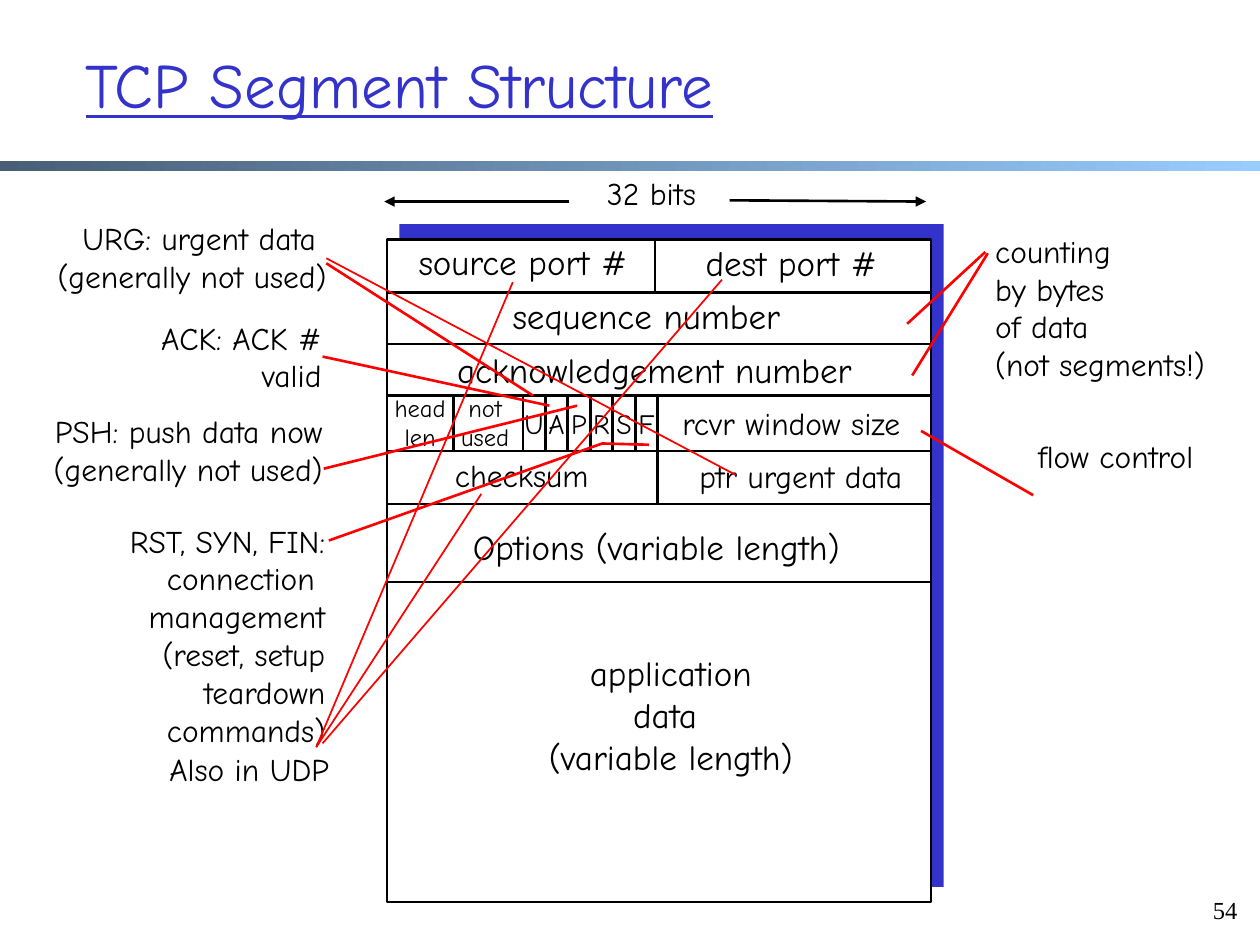
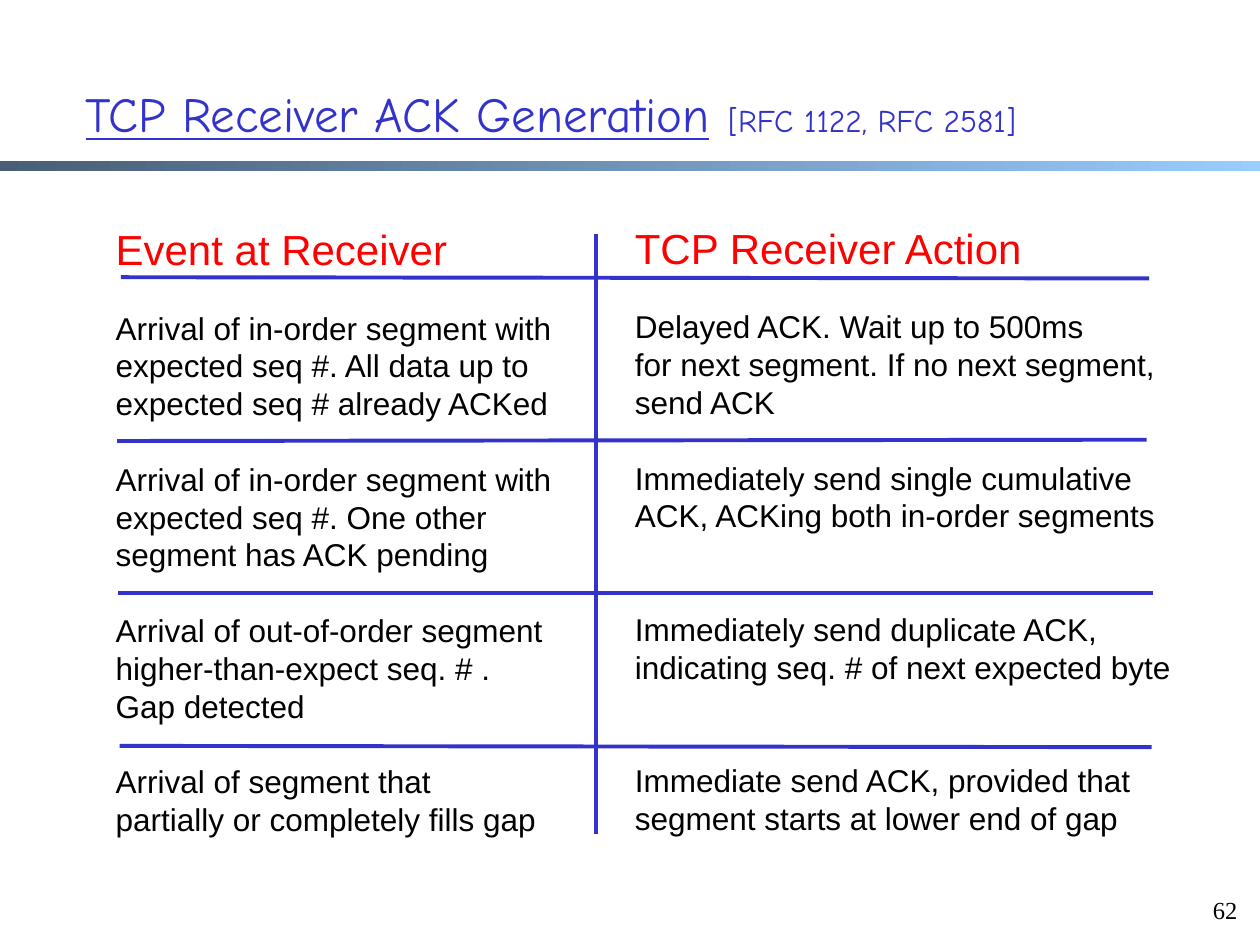
from collections import namedtuple

from lxml import etree
from pptx import Presentation
from pptx.dml.color import RGBColor
from pptx.enum.shapes import MSO_CONNECTOR, MSO_SHAPE
from pptx.enum.text import MSO_ANCHOR, MSO_AUTO_SIZE, PP_ALIGN
from pptx.oxml.ns import qn
from pptx.util import Inches, Pt

LEFT, CENTER, RIGHT = PP_ALIGN.LEFT, PP_ALIGN.CENTER, PP_ALIGN.RIGHT
RECTANGLE = MSO_SHAPE.RECTANGLE
STRAIGHT = MSO_CONNECTOR.STRAIGHT
MIDDLE = MSO_ANCHOR.MIDDLE
NO_AUTOFIT = MSO_AUTO_SIZE.NONE

BLACK = RGBColor(0x00, 0x00, 0x00)
WHITE = RGBColor(0xFF, 0xFF, 0xFF)
RED = RGBColor(0xFF, 0x00, 0x00)
BLUE = RGBColor(0x33, 0x33, 0xCC)
BAND_DARK = RGBColor(0x47, 0x5E, 0x76)
BAND_LIGHT = RGBColor(0x99, 0xCC, 0xFF)

HAND_FONT = "Comic Neue"
COLUMN_FONT = "Arial"
NUMBER_FONT = "Times New Roman"
TITLE_ONLY_LAYOUT = 5

Box = namedtuple("Box", "left top width height")

FIELD_LABELS = [
    (Box(1.58, -0.57, 1.04, 0.4), 18, ["32 bits"]),
    (Box(0.07, -0.04, 2.02, 0.43), 20, ["source port #"]),
    (Box(2.34, -0.03, 1.74, 0.43), 20, ["dest port #"]),
    (Box(0.7, 0.39, 2.72, 0.43), 20, ["sequence number"]),
    (Box(0.26, 0.82, 3.73, 0.43), 20, ["acknowledgement number"]),
    (Box(-0.05, 1.17, 0.63, 0.57), 14, ["head", "len"]),
    (Box(0.47, 1.17, 0.62, 0.57), 14, ["not", "used"]),
    (Box(2.15, 1.26, 2.12, 0.4), 18, ["rcvr window size"]),
    (Box(0.41, 1.67, 1.32, 0.4), 18, ["checksum"]),
    (Box(2.28, 1.68, 2.01, 0.4), 18, ["ptr urgent data"]),
    (Box(0.43, 2.22, 3.42, 0.43), 20, ["Options (variable length)"]),
    (Box(1.09, 3.22, 2.33, 1.1), 20,
     ["application", "data ", "(variable length)"]),
]
ROW_DIVIDERS = [0.42, 0.83, 1.24, 1.68, 2.1, 2.72]
FLAGS = "UAPRSF"
FLAGS_LEFT, FLAGS_RIGHT = 1.08, 2.15

NOTES = [
    (Box(0.6, 2.69, 2.08, 1.9), RIGHT,
     ["RST, SYN, FIN:", "connection ", "management", "(reset, setup",
      "teardown", "commands)"]),
    (Box(8.14, 2.02, 1.62, 0.4), LEFT, ["flow control"]),
    (Box(1.04, 1.08, 1.61, 0.7), RIGHT, ["ACK: ACK #", "valid"]),
    (Box(7.8, 0.39, 1.99, 1.3), LEFT,
     ["counting", "by bytes", "of data", "(not segments!)"]),
    (Box(1.16, 4.5, 1.55, 0.4), RIGHT, ["Also in UDP"]),
    (Box(0.19, 0.29, 2.5, 0.7), RIGHT,
     ["URG: urgent data ", "(generally not used)"]),
    (Box(0.16, 1.82, 2.5, 0.7), RIGHT,
     ["PSH: push data now", "(generally not used)"]),
]
NOTE_POINTERS = [
    ((8.2, 2.53), (7.31, 2.02), 1.5),
    ((2.56, 1.43), (4.36, 1.82), 1.5),
    ((7.84, 0.61), (7.24, 1.58), 1.5),
    ((7.82, 0.6), (7.2, 1.17), 1.5),
    ((2.51, 4.53), (3.82, 2.52), 1),
    ((2.51, 4.53), (4.07, 0.84), 1),
    ((2.56, 4.5), (5.73, 0.82), 1),
    ((2.59, 0.69), (4.23, 1.74), 1.5),
    ((2.57, 2.32), (4.58, 1.82), 1.5),
    ((2.59, 0.65), (5.84, 2.37), 1),
]
CONNECTION_POINTER = [(2.61, 2.89), (4.78, 2.12), (5.15, 2.13)]

EVENTS = [
    ["Arrival of in-order segment with", "expected seq #. All data up to",
     "expected seq # already ACKed"],
    ["Arrival of in-order segment with", "expected seq #. One other",
     "segment has ACK pending"],
    ["Arrival of out-of-order segment", "higher-than-expect seq. # .",
     "Gap detected"],
    ["Arrival of segment that", "partially or completely fills gap"],
]
ACTIONS = [
    ["Delayed ACK. Wait up to 500ms", "for next segment. If no next segment,",
     "send ACK"],
    ["Immediately send single cumulative",
     "ACK, ACKing both in-order segments"],
    ["Immediately send duplicate ACK,",
     "indicating seq. # of next expected byte"],
    ["Immediate send ACK, provided that",
     "segment starts at lower end of gap"],
]
LINE_PITCH = 21.6
HEADING_PITCH = 30.8
HEADING_GAP = 19.6
LINES_PER_ENTRY = 4
RULES = [
    ((0.14, 0.51), (8.3, 0.52)),
    ((0.11, 1.81), (8.28, 1.8)),
    ((0.12, 3.02), (8.33, 3.02)),
    ((0.13, 4.23), (8.32, 4.24)),
    ((3.91, 0.17), (3.91, 4.93)),
]


def inches(box):
    """Return the four lengths of a box."""
    return [Inches(value) for value in box]


def shifted(box, origin):
    """Move a box by the corner of the region that holds it."""
    return box._replace(left=box.left + origin.left, top=box.top + origin.top)


def add_run(paragraph, text, size, color, font=HAND_FONT, underline=False):
    """Add one formatted run."""
    run = paragraph.add_run()
    run.text = text
    run.font.size = Pt(size)
    run.font.name = font
    run.font.color.rgb = color
    run.font.underline = underline


def add_text_frame(slide, box):
    """Add a text box that does not wrap and return its frame."""
    frame = slide.shapes.add_textbox(*inches(box)).text_frame
    frame.word_wrap = False
    return frame


def add_label(slide, box, lines, size, alignment=CENTER, font=HAND_FONT):
    """Add black text with one paragraph for each line."""
    frame = add_text_frame(slide, box)
    for index, line in enumerate(lines):
        paragraph = frame.add_paragraph() if index else frame.paragraphs[0]
        paragraph.alignment = alignment
        add_run(paragraph, line, size, BLACK, font)


def add_block(slide, box, fill):
    """Add a plain filled rectangle."""
    shape = slide.shapes.add_shape(RECTANGLE, *inches(box))
    shape.shadow.inherit = False
    shape.fill.solid()
    shape.fill.fore_color.rgb = fill
    shape.line.fill.background()
    return shape


def add_line(slide, origin, start, end, color=BLACK, width=1.5, arrow=False):
    """Add a straight line between two points of a region."""
    ends = [Inches(corner + value) for point in (start, end)
            for corner, value in zip((origin.left, origin.top), point)]
    line = slide.shapes.add_connector(STRAIGHT, *ends)
    line.line.color.rgb = color
    line.line.width = Pt(width)
    if arrow:
        etree.SubElement(line.line._get_or_add_ln(), qn("a:tailEnd"),
                         type="triangle")
    etree.SubElement(line.element.spPr, qn("a:effectLst"))


def add_base(presentation, number, title_box, title_runs):
    """Add a slide with its title, gradient band and page number."""
    layout = presentation.slide_layouts[TITLE_ONLY_LAYOUT]
    slide = presentation.slides.add_slide(layout)
    band = add_block(slide, Box(0, 1.28, 10, 0.08), BAND_DARK)
    band.fill.gradient()
    band.fill.gradient_angle = 0
    for stop, color in zip(band.fill.gradient_stops, (BAND_DARK, BAND_LIGHT)):
        stop.color.rgb = color
    title = slide.shapes.title
    title.left, title.top, title.width, title.height = inches(title_box)
    frame = title.text_frame
    frame.auto_size = NO_AUTOFIT
    frame.vertical_anchor = MIDDLE
    paragraph = frame.paragraphs[0]
    paragraph.alignment = LEFT
    for text, size, underline in title_runs:
        add_run(paragraph, text, size, BLUE, underline=underline)
    add_label(slide, Box(9.46, 7.05, 0.46, 0.38), [number], 14, RIGHT,
              NUMBER_FONT)
    return slide


def add_segment(slide, box):
    """Draw the segment with its fields, flags and width arrows."""
    add_block(slide, box._replace(left=box.left + 0.1, top=box.top - 0.12),
              BLUE)
    outline = add_block(slide, box, WHITE)
    outline.line.color.rgb = BLACK
    outline.line.width = Pt(1.5)
    for y in ROW_DIVIDERS:
        add_line(slide, box, (0, y), (box.width, y))
    first, _, flags_top, flags_bottom, options_top, _ = ROW_DIVIDERS
    add_line(slide, box, (2.13, 0), (2.13, first))
    add_line(slide, box, (FLAGS_RIGHT, flags_top), (FLAGS_RIGHT, options_top))
    add_line(slide, box, (0.53, flags_top), (0.53, flags_bottom))
    step = (FLAGS_RIGHT - FLAGS_LEFT) / len(FLAGS)
    for index, flag in enumerate(FLAGS):
        x = FLAGS_LEFT + index * step
        add_line(slide, box, (x, flags_top), (x, flags_bottom))
        flag_box = Box(x + step / 2 - 0.18, 1.28, 0.36, 0.37)
        add_label(slide, shifted(flag_box, box), [flag], 16)
    for label_box, size, lines in FIELD_LABELS:
        add_label(slide, shifted(label_box, box), lines, size)
    add_line(slide, box, (2.72, -0.31), (4.28, -0.3), arrow=True)
    add_line(slide, box, (1.45, -0.3), (-0.02, -0.3), arrow=True)


def add_notes(slide, box):
    """Add the side notes and their red pointers."""
    for note_box, alignment, lines in NOTES:
        add_label(slide, shifted(note_box, box), lines, 18, alignment)
    for start, end, width in NOTE_POINTERS:
        add_line(slide, box, start, end, RED, width)
    points = [(Inches(box.left + x), Inches(box.top + y))
              for x, y in CONNECTION_POINTER]
    builder = slide.shapes.build_freeform(*points[0])
    builder.add_line_segments(points[1:], close=False)
    pointer = builder.convert_to_shape()
    pointer.shadow.inherit = False
    pointer.fill.background()
    pointer.line.color.rgb = RED
    pointer.line.width = Pt(1.5)


def add_column(slide, box, heading, entries):
    """Add a red heading and entries that start at equal distances."""
    frame = add_text_frame(slide, box)
    paragraph = frame.paragraphs[0]
    paragraph.line_spacing = Pt(HEADING_PITCH)
    add_run(paragraph, heading, 24, RED, COLUMN_FONT)
    gap = HEADING_GAP
    for lines in entries:
        for index, line in enumerate(lines):
            paragraph = frame.add_paragraph()
            paragraph.line_spacing = Pt(LINE_PITCH)
            paragraph.space_before = Pt(0 if index else gap)
            add_run(paragraph, line, 18, BLACK, COLUMN_FONT)
        gap = (LINES_PER_ENTRY - len(lines)) * LINE_PITCH


def add_ack_rules(slide, box):
    """Add the events, the actions and the rules between them."""
    add_column(slide, shifted(Box(0, 0.01, 3.66, 5.47), box),
               "Event at Receiver", EVENTS)
    add_column(slide, shifted(Box(4.12, 0, 4.45, 5.47), box),
               "TCP Receiver Action", ACTIONS)
    for start, end in RULES:
        add_line(slide, box, start, end, BLUE, 2.25)


def main():
    """Build both slides and save them."""
    presentation = Presentation()
    presentation.slide_width = Inches(10)
    presentation.slide_height = Inches(7.5)
    slide = add_base(presentation, "54", Box(0.58, 0.25, 8.77, 0.83),
                     [("TCP Segment Structure", 36, True)])
    add_segment(slide, Box(3.07, 1.9, 4.32, 5.26))
    add_notes(slide, Box(0, 1.4, 10, 6.1))
    slide = add_base(presentation, "62", Box(0.58, 0.25, 8.77, 1.25),
                     [("TCP Receiver ACK Generation", 28, True),
                      (" ", 32, False), ("[RFC 1122, RFC 2581]", 18, False)])
    add_ack_rules(slide, Box(0.82, 1.69, 8.57, 5.48))
    presentation.save("out.pptx")


if __name__ == "__main__":
    main()
